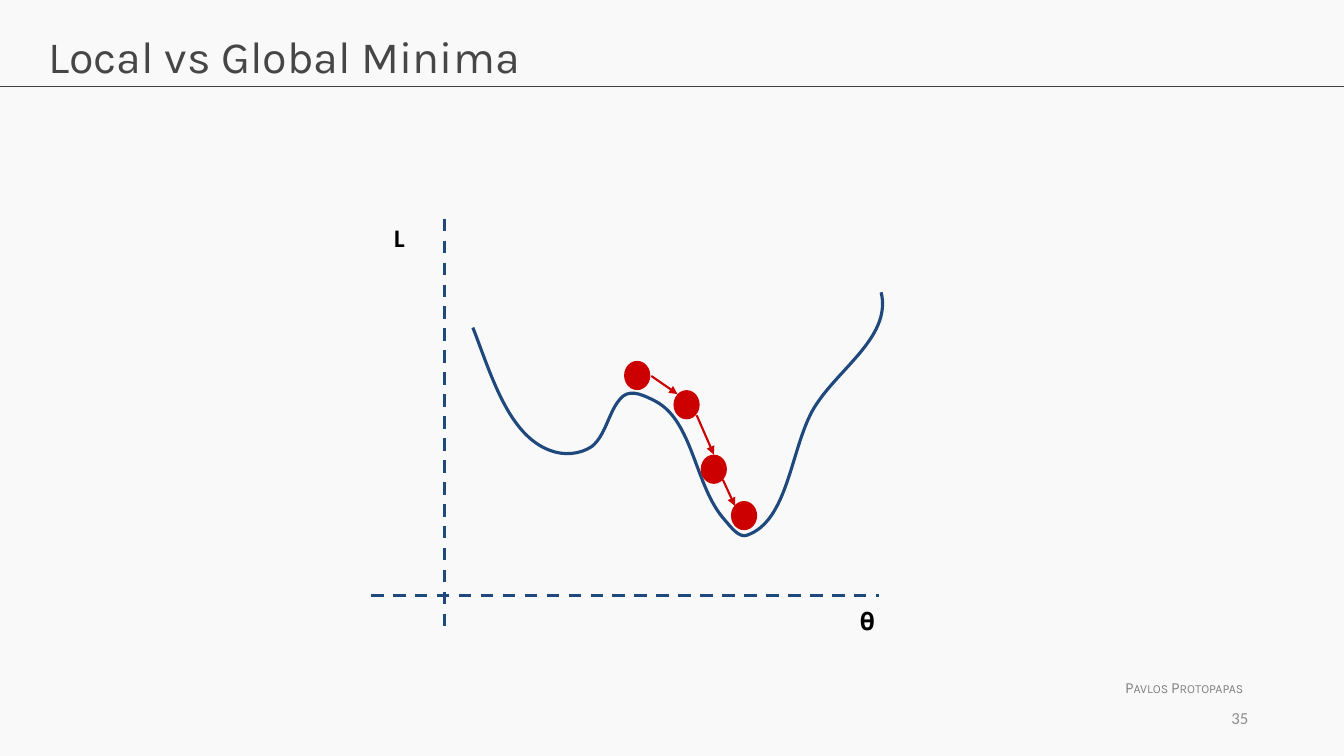
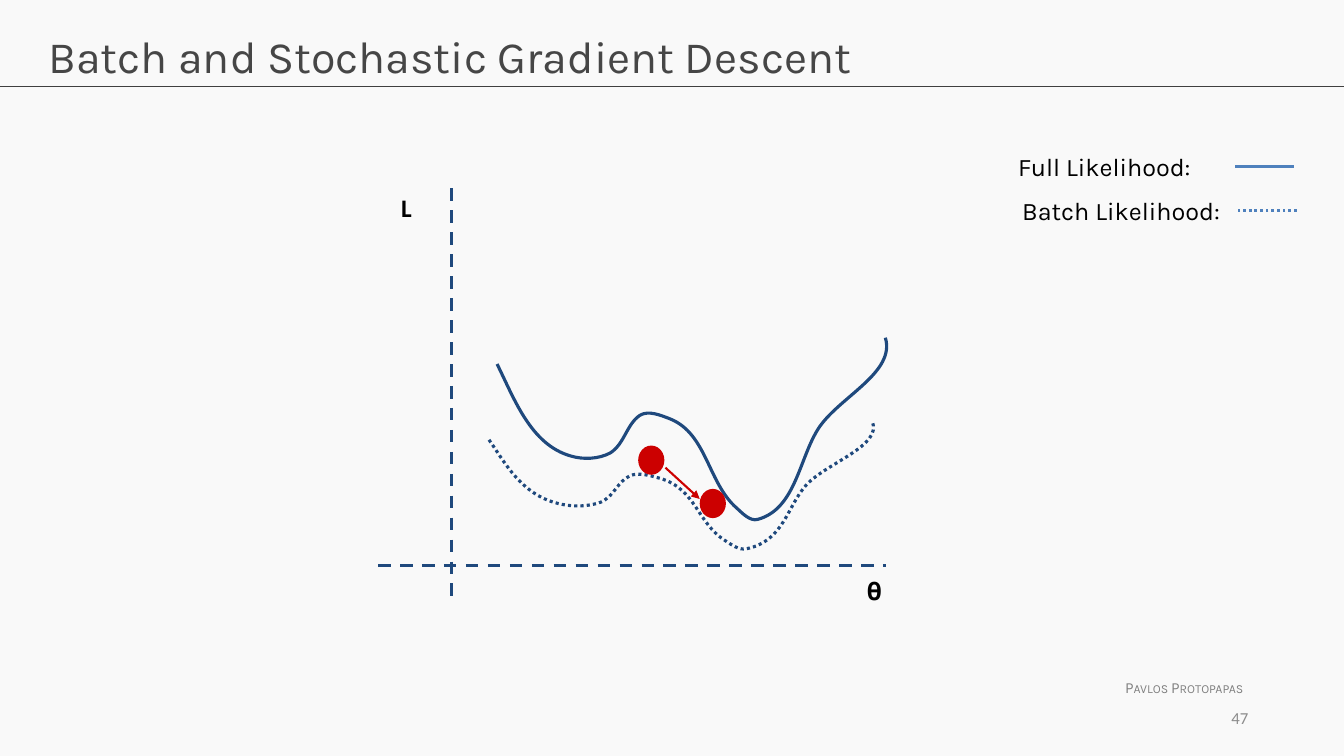
"""Build two slides on minima and gradient descent."""
import pptx
import pptx.dml.color
import pptx.enum.dml
import pptx.enum.shapes
import pptx.enum.text
import pptx.oxml.ns
import pptx.oxml.xmlchemy
import pptx.util
from pptx.util import Inches
from lxml import etree

NAVY, RED, BLUE = "1F497D", "CC0000", "4F81BD"
BLACK, BACKGROUND, RULE = "000000", "F9F9F9", "404040"
TITLE, FOOTER, NUMBER = "464646", "808080", "8C8C8C"
DASH = pptx.enum.dml.MSO_LINE.DASH
DOTS = pptx.enum.dml.MSO_LINE.ROUND_DOT
LEFT = pptx.enum.text.PP_ALIGN.LEFT
RIGHT = pptx.enum.text.PP_ALIGN.RIGHT
TOP = pptx.enum.text.MSO_ANCHOR.TOP
MIDDLE = pptx.enum.text.MSO_ANCHOR.MIDDLE

BALL_WIDTH, BALL_HEIGHT = 0.26, 0.29
CURVE_BOX = (4.69, 2.9, 4.07, 2.42)
CURVE_POINTS = [
    (4.69, 3.25),
    (4.87, 3.71), (5.04, 4.32), (5.46, 4.47),
    (5.59, 4.52), (5.75, 4.51), (5.87, 4.43),
    (6.02, 4.31), (6.04, 4.05), (6.18, 3.93),
    (6.27, 3.86), (6.4, 3.93), (6.5, 3.98),
    (6.88, 4.18), (6.89, 4.83), (7.19, 5.16),
    (7.25, 5.23), (7.33, 5.34), (7.41, 5.31),
    (7.81, 5.17), (7.84, 4.49), (8.05, 4.09),
    (8.27, 3.68), (8.85, 3.36), (8.74, 2.9),
]


def color(value):
    """Turn a hex string into a colour."""
    return pptx.dml.color.RGBColor.from_string(value)


def style_line(line, stroke, width, dash=None):
    """Set the colour, width and dash of a line."""
    line.color.rgb = color(stroke)
    line.width = pptx.util.Pt(width)
    if dash is not None:
        line.dash_style = dash


def add_line(slide, start, end, stroke, width, dash=None, arrow=False):
    """Draw a straight line, with an arrowhead at its end if asked."""
    connector = slide.shapes.add_connector(
        pptx.enum.shapes.MSO_CONNECTOR.STRAIGHT,
        *[Inches(length) for length in (*start, *end)])
    style_line(connector.line, stroke, width, dash)
    if arrow:
        head = etree.SubElement(connector.line._get_or_add_ln(),
                                pptx.oxml.ns.qn("a:tailEnd"))
        head.set("type", "triangle")
    etree.SubElement(connector._element.spPr,
                     pptx.oxml.ns.qn("a:effectLst"))


def add_text(slide, text, place, size, ink, font="Karla", bold=False,
             wrap=True, align=LEFT, anchor=TOP, small_caps=False, inset=0.05):
    """Place one run of text in a box."""
    box = slide.shapes.add_textbox(*[Inches(length) for length in place])
    frame = box.text_frame
    frame.word_wrap = wrap
    frame.vertical_anchor = anchor
    frame.margin_top = frame.margin_bottom = Inches(inset)
    para = frame.paragraphs[0]
    para.alignment = align
    span = para.add_run()
    span.text = text
    span.font.name = font
    span.font.size = pptx.util.Pt(size)
    span.font.bold = bold
    span.font.color.rgb = color(ink)
    if small_caps:
        span.font._element.set("cap", "small")


def add_curve(slide, place, dash=None):
    """Draw the loss curve as Bézier segments scaled to a place."""
    left, top, width, height = place
    base_left, base_top, base_width, base_height = CURVE_BOX
    points = [(Inches(left + (x - base_left) * width / base_width),
               Inches(top + (y - base_top) * height / base_height))
              for x, y in CURVE_POINTS]
    builder = slide.shapes.build_freeform(*points[0])
    builder.add_line_segments(points[1:], close=False)
    curve = builder.convert_to_shape()
    curve.shadow.inherit = False
    curve.fill.background()
    style_line(curve.line, NAVY, 2.25, dash)
    steps = list(curve._element.iter(pptx.oxml.ns.qn("a:lnTo")))
    for index in range(0, len(steps), 3):
        first, *others = steps[index:index + 3]
        segment = etree.Element(pptx.oxml.ns.qn("a:cubicBezTo"))
        first.addprevious(segment)
        for step in (first, *others):
            segment.append(step[0])
            step.getparent().remove(step)


def add_ball(slide, left, top):
    """Draw one red ball."""
    ball = slide.shapes.add_shape(
        pptx.enum.shapes.MSO_SHAPE.OVAL, Inches(left), Inches(top),
        Inches(BALL_WIDTH), Inches(BALL_HEIGHT))
    ball.shadow.inherit = False
    ball.fill.solid()
    ball.fill.fore_color.rgb = color(RED)
    ball.line.fill.background()


def add_descent(slide, balls, arrows):
    """Draw the balls and the arrows between them."""
    for left, top in balls:
        add_ball(slide, left, top)
    for start, end in arrows:
        add_line(slide, start, end, RED, 1.5, arrow=True)


def add_axes(slide, x, y):
    """Draw dashed axes crossing at a point, with their labels."""
    add_line(slide, (x, y - 3.74), (x, y + 0.38), NAVY, 2.25, DASH)
    add_line(slide, (x - 0.73, y), (x + 4.31, y), NAVY, 2.25, DASH)
    add_text(slide, "L", (x - 0.6, y - 3.8, 0.6, 0.7), 18, BLACK,
             "Calibri", bold=True, inset=0.1)
    add_text(slide, "𝛉", (x + 4.02, y, 0.6, 0.7), 18, BLACK,
             "Calibri", inset=0.1)


def add_legend(slide, text, place, line_left, line_y, dash=None):
    """Write a legend entry with its line sample."""
    add_text(slide, text, place, 18, BLACK, wrap=False)
    add_line(slide, (line_left + 0.58, line_y), (line_left, line_y),
             BLUE, 2, dash)


def add_slide(deck, title, number):
    """Add a slide with the title, rule and footer."""
    slide = deck.slides.add_slide(deck.slide_layouts[6])
    add_line(slide, (0, 0.86), (13.33, 0.86), RULE, 0.75)
    add_text(slide, "Pavlos Protopapas", (11.06, 6.68, 1.41, 0.29), 11,
             FOOTER, wrap=False, small_caps=True)
    add_text(slide, title, (0.38, 0.24, 12.57, 0.84), 32, TITLE)
    add_text(slide, number, (9.37, 6.92, 3.11, 0.4), 12, NUMBER, "Calibri",
             align=RIGHT, anchor=MIDDLE)
    return slide


def add_minima_slide(deck):
    """Build the slide on local and global minima."""
    slide = add_slide(deck, "Local vs Global Minima", "35")
    add_axes(slide, 4.41, 5.91)
    add_curve(slide, CURVE_BOX)
    add_descent(
        slide,
        [(6.19, 3.58), (6.68, 3.87), (6.95, 4.51), (7.25, 4.97)],
        [((6.46, 3.73), (6.72, 3.91)),
         ((6.91, 4.12), (7.08, 4.51)),
         ((7.17, 4.76), (7.29, 5.02))])


def add_batch_slide(deck):
    """Build the slide on batch and stochastic descent."""
    slide = add_slide(deck, "Batch and Stochastic Gradient Descent", "47")
    add_axes(slide, 4.48, 5.61)
    add_curve(slide, (4.85, 4.18, 3.82, 1.27), DOTS)
    add_curve(slide, (4.93, 3.35, 3.87, 1.81))
    add_descent(slide, [(6.33, 4.42), (6.94, 4.85)],
                [((6.6, 4.64), (6.94, 4.95))])
    add_legend(slide, "Full Likelihood:", (10, 1.45, 1.99, 0.4), 12.25, 1.65)
    add_legend(slide, "Batch Likelihood:", (10.04, 1.89, 2.25, 0.4),
               12.28, 2.09, DOTS)


def main():
    """Build and save the deck."""
    deck = pptx.Presentation()
    deck.slide_width, deck.slide_height = Inches(13.33), Inches(7.5)
    backdrop = deck.slide_master.background.fill
    backdrop.solid()
    backdrop.fore_color.rgb = color(BACKGROUND)
    add_minima_slide(deck)
    add_batch_slide(deck)
    deck.save("out.pptx")


if __name__ == "__main__":
    main()
